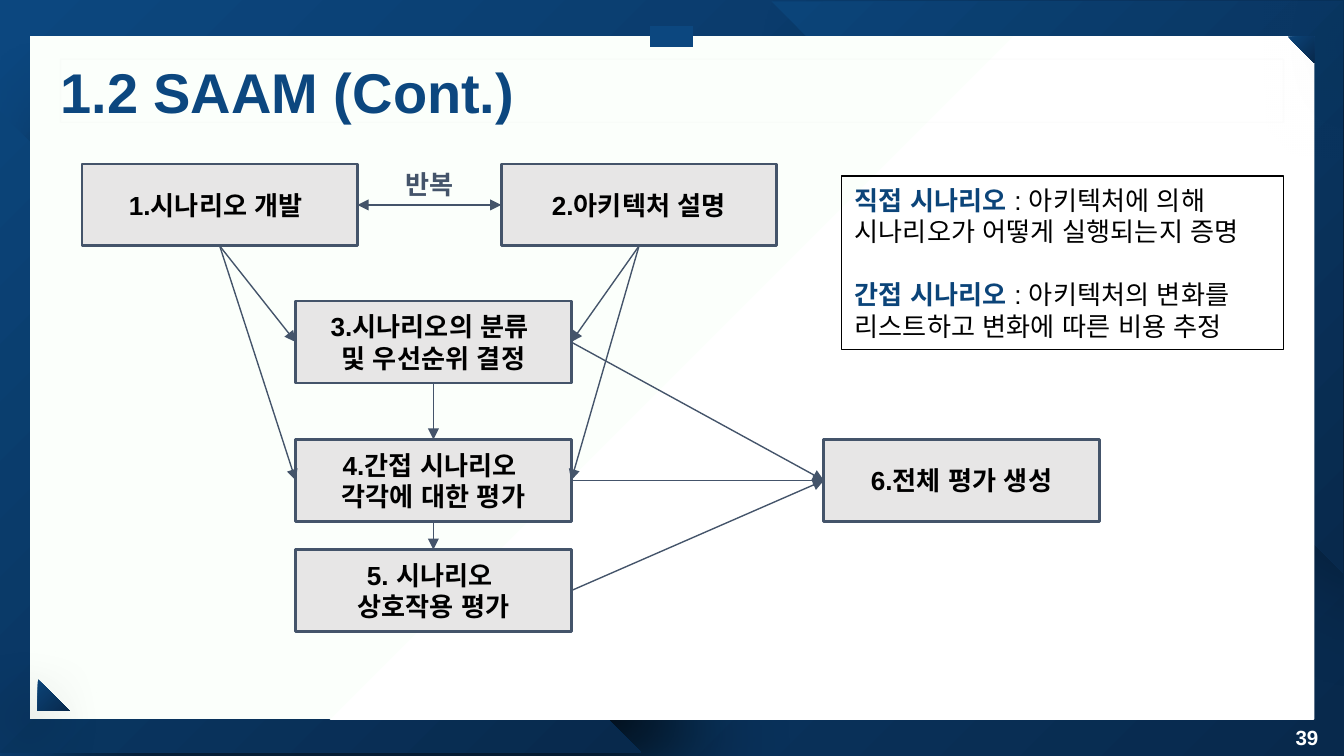
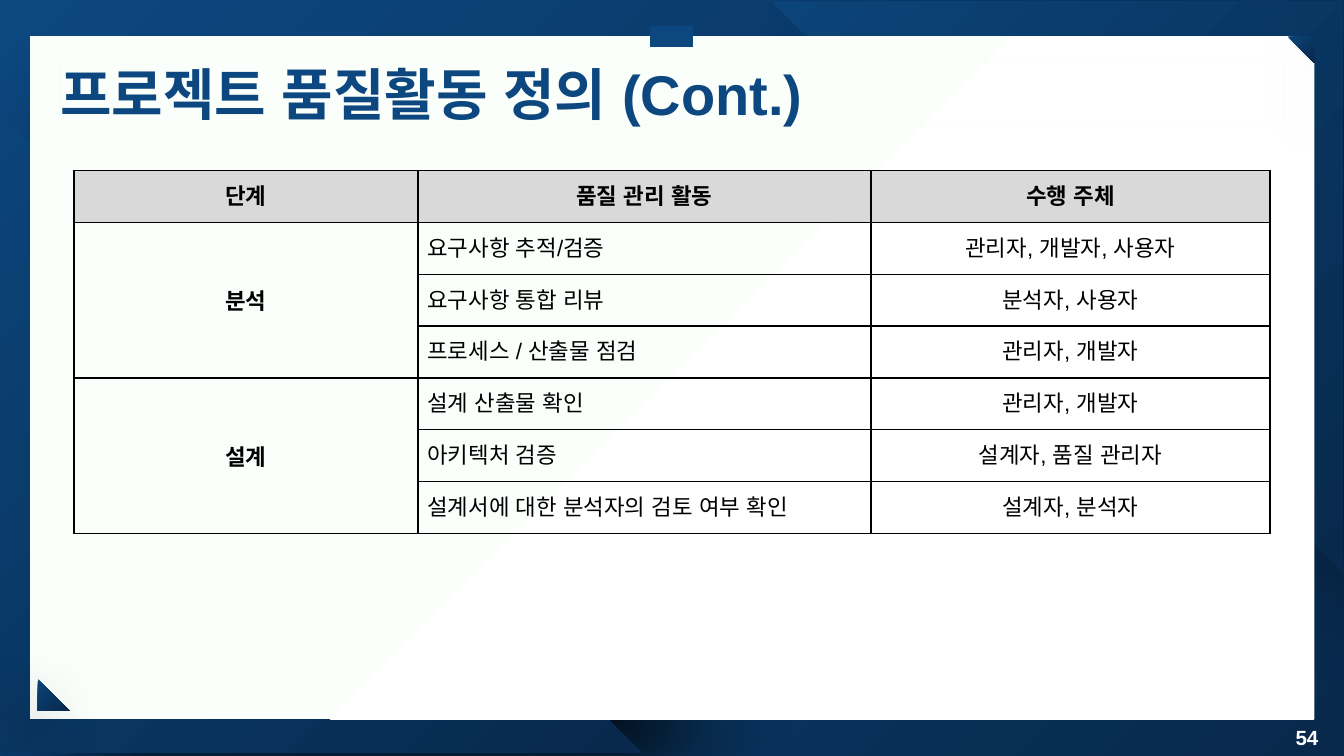
"""Builds two lecture slides: the SAAM process and the project quality activities."""
import dataclasses

import lxml.etree
import pptx
import pptx.dml.color
import pptx.enum.shapes
import pptx.enum.text
import pptx.oxml.ns
import pptx.util

Inches = pptx.util.Inches
Pt = pptx.util.Pt
qn = pptx.oxml.ns.qn
Shape = pptx.enum.shapes.MSO_SHAPE
Align = pptx.enum.text.PP_ALIGN
TOP, LEFT, BOTTOM, RIGHT = range(4)


@dataclasses.dataclass(frozen=True)
class Theme:
    font: str = "Arial"
    navy: str = "08294C"
    blue: str = "0C477F"
    accent: str = "0B4479"
    white: str = "FFFFFF"
    mint: str = "FBFFFB"
    black: str = "000000"
    slate: str = "44546A"
    step: str = "E7E6E6"
    header: str = "D9D9D9"
    frame: str = "D8D8D8"
    title_size: int = 30
    body_size: int = 14
    table_size: int = 12
    number_size: int = 11


def rgb(value):
    return pptx.dml.color.RGBColor.from_string(value)


def add_xml(parent, tag, **attributes):
    return lxml.etree.SubElement(
        parent, qn(tag), {name: str(value) for name, value in attributes.items()})


def write(frame, text, *, size, color=Theme.black, bold=False, align=Align.LEFT,
          inset=0.1, spacing=None, gap=0, lead_color=None):
    frame.word_wrap = True
    frame.vertical_anchor = pptx.enum.text.MSO_ANCHOR.MIDDLE
    frame.margin_left = frame.margin_right = Inches(inset)
    frame.margin_top = frame.margin_bottom = Inches(inset)
    for index, line in enumerate(text.split("\n")):
        paragraph = frame.paragraphs[0] if index == 0 else frame.add_paragraph()
        paragraph.alignment = align
        if spacing:
            paragraph.line_spacing = spacing
        if index and gap:
            paragraph.space_before = Pt(gap)
        pieces = [(line, color, bold)]
        if lead_color:
            lead, colon, rest = line.partition(" : ")
            pieces = [(lead, lead_color, True), (colon + rest, color, bold)]
        for piece, piece_color, piece_bold in pieces:
            run = paragraph.add_run()
            run.text = piece
            run.font.name = Theme.font
            run.font.size = Pt(size)
            run.font.bold = piece_bold
            run.font.color.rgb = rgb(piece_color)
            latin = paragraph._p.findall(".//" + qn("a:latin"))[-1]
            for script in ("a:ea", "a:cs"):
                add_xml(latin.getparent(), script, typeface=Theme.font)


def radial(fill, element, inner, outer):
    fill.gradient()
    for stop, color in zip(fill.gradient_stops, (inner, outer)):
        stop.color.rgb = rgb(color)
    linear = element.find(".//" + qn("a:lin"))
    gradient = linear.getparent()
    gradient.remove(linear)
    circle = add_xml(gradient, "a:path", path="circle")
    add_xml(circle, "a:fillToRect", l=100000, t=100000)


class Deck:
    """Holds the theme and the current slide, and adds each kind of element."""

    def __init__(self, theme):
        self.theme = theme
        self.deck = pptx.Presentation()
        self.deck.slide_width = Inches(10)
        self.deck.slide_height = Inches(10 * 9 / 16)
        self.slide = None

    def new_slide(self, title, number, title_top):
        theme = self.theme
        self.slide = self.deck.slides.add_slide(self.deck.slide_layouts[6])
        radial(self.slide.background.fill, self.slide.element, theme.navy, theme.blue)
        self.triangle(0, 0.83, 4.77, (100, 53, 40, 0))
        self.triangle(5.74, 0.01, 4.25, (39, 53, 41, 45), rotation=180)
        self.gradient_shape(Shape.ROUNDED_RECTANGLE, (0.22, 0.27, 9.56, 5.08),
                            theme.white, theme.mint)
        self.line((4.84, 0.27), (5.16, 0.27), theme.blue, 11.25)
        self.triangle(9.58, 0.27, 0.2, (100, 53, 40, 0), rotation=180)
        self.triangle(0.28, 5.05, 0.24, (56, 35, 14, 135))
        heading = self.box((0.45, title_top, 9.1, 0.47), title, line=theme.frame,
                           size=theme.title_size, color=theme.blue, bold=True, inset=0)
        outline = heading.element.find(".//" + qn("a:ln"))
        add_xml(outline.find(".//" + qn("a:srgbClr")), "a:alpha", val=5000)
        self.label((9.34, 5.4, 0.47, 0.17), str(number), size=theme.number_size,
                   color=theme.white, bold=True, align=Align.RIGHT, inset=0)

    def gradient_shape(self, kind, place, inner, outer):
        shape = self.slide.shapes.add_shape(kind, *map(Inches, place))
        shape.adjustments[0] = 0
        shape.shadow.inherit = False
        shape.line.fill.background()
        radial(shape.fill, shape.element, inner, outer)
        return shape

    def triangle(self, left, top, side, shadow, rotation=0):
        corner = self.gradient_shape(Shape.ISOSCELES_TRIANGLE, (left, top, side, side),
                                     self.theme.navy, self.theme.accent)
        corner.rotation = rotation
        opacity, blur, distance, angle = shadow
        cast = add_xml(corner.element.find(".//" + qn("a:effectLst")), "a:outerShdw",
                       blurRad=Pt(blur), dist=Pt(distance), dir=angle * 60000,
                       rotWithShape=0)
        tint = add_xml(cast, "a:srgbClr", val=self.theme.black)
        add_xml(tint, "a:alpha", val=opacity * 1000)

    def box(self, place, text, *, line, fill=None, width=0.75, **style):
        shape = self.slide.shapes.add_shape(Shape.RECTANGLE, *map(Inches, place))
        shape.shadow.inherit = False
        if fill:
            shape.fill.solid()
            shape.fill.fore_color.rgb = rgb(fill)
        else:
            shape.fill.background()
        shape.line.color.rgb = rgb(line)
        shape.line.width = Pt(width)
        write(shape.text_frame, text, **style)
        return shape

    def label(self, place, text, **style):
        write(self.slide.shapes.add_textbox(*map(Inches, place)).text_frame, text, **style)

    def line(self, start, end, color, width):
        connector = self.slide.shapes.add_connector(
            pptx.enum.shapes.MSO_CONNECTOR.STRAIGHT, *map(Inches, start + end))
        connector.line.color.rgb = rgb(color)
        connector.line.width = Pt(width)
        add_xml(connector.element.spPr, "a:effectLst")
        return connector

    def arrow(self, source, source_side, target, target_side, both=False):
        connector = self.line((0, 0), (1, 1), self.theme.slate, 0.75)
        connector.begin_connect(source, source_side)
        connector.end_connect(target, target_side)
        outline = connector.element.find(".//" + qn("a:ln"))
        for tag in ("a:headEnd", "a:tailEnd") if both else ("a:tailEnd",):
            add_xml(outline, tag, type="triangle")

    def table(self, place, widths, rows, merges):
        theme = self.theme
        grid = self.slide.shapes.add_table(
            len(rows), len(widths), *map(Inches, place)).table
        grid.first_row = grid.horz_banding = False
        for column, width in zip(grid.columns, widths):
            column.width = Inches(width)
        for row_index, values in enumerate(rows):
            for column_index, value in enumerate(values):
                cell = grid.cell(row_index, column_index)
                self.borders(cell)
                if row_index == 0:
                    cell.fill.solid()
                    cell.fill.fore_color.rgb = rgb(theme.header)
                else:
                    cell.fill.background()
                if not value:
                    continue
                phase = column_index == 0 and row_index > 0
                activity = column_index == 1 and row_index > 0
                write(cell.text_frame, value, size=theme.table_size,
                      bold=row_index == 0 or phase,
                      align=Align.LEFT if activity else Align.CENTER,
                      spacing=1.15 if phase else None, inset=0.07)
                cell.vertical_anchor = pptx.enum.text.MSO_ANCHOR.MIDDLE
                cell.margin_left = cell.margin_right = Inches(0.07)
                cell.margin_top = cell.margin_bottom = Inches(0.07)
        for first, last in merges:
            grid.cell(first, 0).merge(grid.cell(last, 0))

    def borders(self, cell):
        properties = cell._tc.get_or_add_tcPr()
        for side in "LRTB":
            edge = add_xml(properties, "a:ln" + side, w=Pt(1))
            add_xml(add_xml(edge, "a:solidFill"), "a:srgbClr", val=self.theme.black)


def saam_slide(deck):
    theme = deck.theme
    deck.new_slide("1.2 SAAM (Cont.)", 39, 0.44)
    steps = [
        (0.61, 1.22, "1.시나리오 개발 "),
        (3.73, 1.22, "2.아키텍처 설명"),
        (2.2, 2.24, "3.시나리오의 분류 \n및 우선순위 결정"),
        (2.2, 3.27, "4.간접 시나리오 \n각각에 대한 평가"),
        (2.2, 4.09, "5. 시나리오 \n상호작용 평가"),
        (6.13, 3.27, "6.전체 평가 생성"),
    ]
    develop, describe, classify, evaluate, interact, overall = [
        deck.box((left, top, 2.05, 0.61), text, line=theme.slate, fill=theme.step,
                 width=1.5, size=theme.body_size, bold=True, align=Align.CENTER)
        for left, top, text in steps]
    for step in (classify, evaluate, interact):
        deck.arrow(step, RIGHT, overall, LEFT)
    for source, side in ((describe, RIGHT), (develop, LEFT)):
        for target in (classify, evaluate):
            deck.arrow(source, BOTTOM, target, side)
    deck.arrow(classify, BOTTOM, evaluate, TOP)
    deck.arrow(evaluate, BOTTOM, interact, TOP)
    deck.label((2.88, 1.18, 0.63, 0.35), "반복", size=theme.body_size,
               color=theme.slate, bold=True, align=Align.CENTER, spacing=1.15)
    deck.arrow(develop, RIGHT, describe, LEFT, both=True)
    definitions = ("직접 시나리오 : 아키텍처에 의해 시나리오가 어떻게 실행되는지 증명\n"
                   "간접 시나리오 : 아키텍처의 변화를 리스트하고 변화에 따른 비용 추정")
    deck.box((6.26, 1.31, 3.29, 1.29), definitions, line=theme.black,
             size=theme.body_size, lead_color=theme.accent, gap=17)


def quality_slide(deck):
    deck.new_slide("프로젝트 품질활동 정의 (Cont.)", 54, 0.46)
    rows = [
        ("단계", "품질 관리 활동", "수행 주체"),
        ("분석", "요구사항 추적/검증", "관리자, 개발자, 사용자"),
        ("", "요구사항 통합 리뷰", "분석자, 사용자"),
        ("", "프로세스 / 산출물 점검", "관리자, 개발자"),
        ("설계", "설계 산출물 확인", "관리자, 개발자"),
        ("", "아키텍처 검증", "설계자, 품질 관리자"),
        ("", "설계서에 대한 분석자의 검토 여부 확인", "설계자, 분석자"),
    ]
    deck.table((0.55, 1.27, 8.9, 2.7), (2.56, 3.37, 2.97), rows, [(1, 3), (4, 6)])


def main():
    deck = Deck(Theme())
    saam_slide(deck)
    quality_slide(deck)
    deck.deck.save("out.pptx")


if __name__ == "__main__":
    main()
